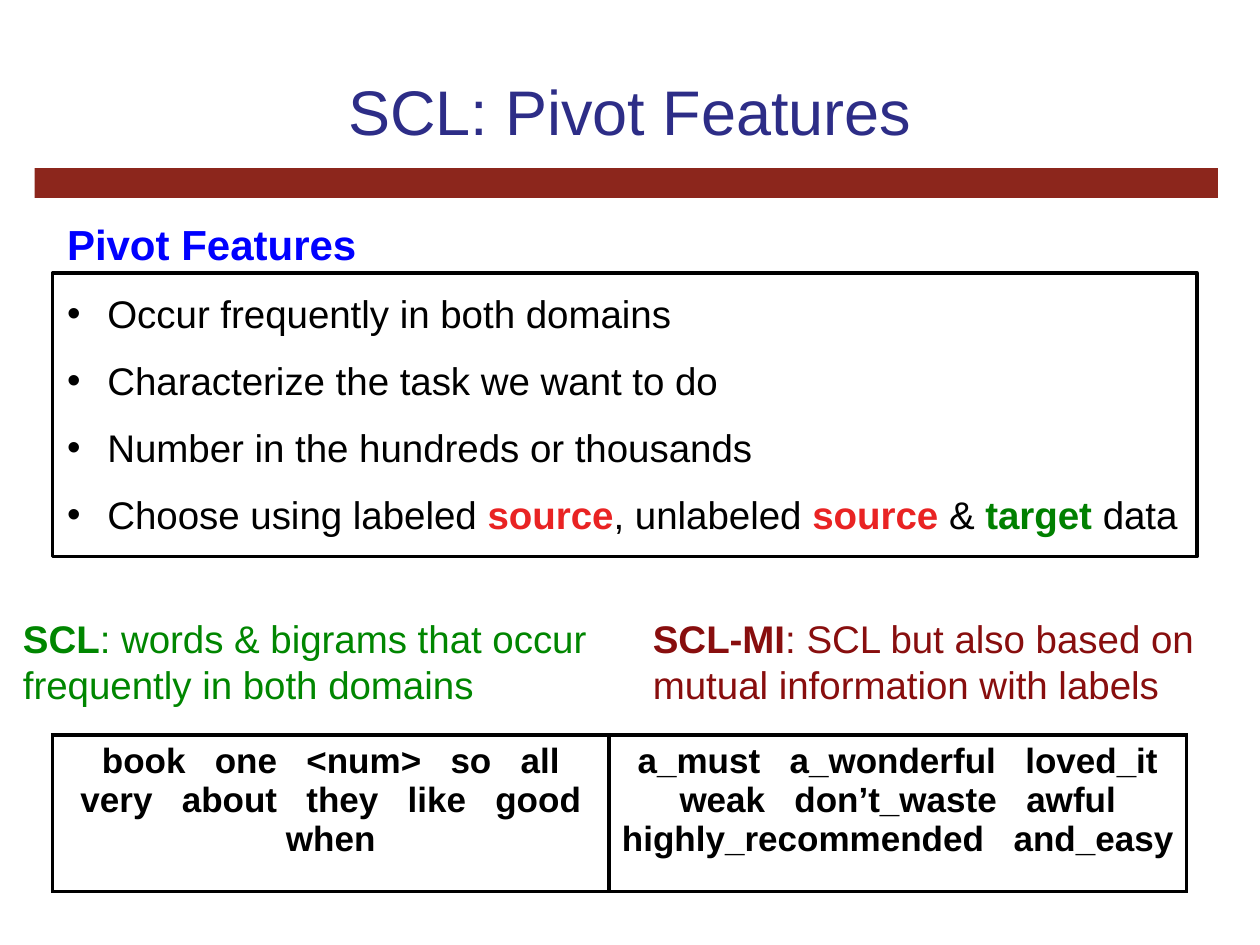
from dataclasses import dataclass

from lxml.etree import SubElement as Sub
from pptx import Presentation
from pptx.dml.color import RGBColor as RGB
from pptx.enum.shapes import MSO_CONNECTOR as Line, MSO_SHAPE as Form
from pptx.enum.text import MSO_ANCHOR as Anchor, PP_ALIGN as Align
from pptx.oxml.ns import qn
from pptx.util import Inches, Pt


@dataclass(frozen=True)
class Theme:
    font: str = "Arial"
    ink: str = "000000"
    navy: str = "2D2D87"
    blue: str = "0000FF"
    brick: str = "8C261C"
    red: str = "E92323"
    green: str = "008000"
    leaf: str = "008600"
    wine: str = "880E0E"
    title: int = 36
    head: int = 24
    body: int = 22
    small: int = 20
    gap: int = 12      # space before a paragraph
    hang: float = 0.32  # bullet indent, inches
    word: int = 1110   # extra space between listed words, 1/100 pt


class Deck:
    """Holds the theme and the slide; lengths are cells of a 120 x 90 grid."""

    def __init__(self, theme):
        self.theme = theme
        self.prs = Presentation()
        self.prs.slide_width, self.prs.slide_height = Inches(10), Inches(7.5)
        self.slide = self.prs.slides.add_slide(self.prs.slide_layouts[6])
        self.shapes = self.slide.shapes

    def cells(self, *nums):
        return [round(self.prs.slide_width * n / 120) for n in nums]

    def run(self, para, text, color, size, bold=False):
        run = para.add_run()
        run.text = text
        look = {"name": self.theme.font, "size": Pt(size), "bold": bold}
        for key, val in look.items():
            setattr(run.font, key, val)
        run.font.color.rgb = RGB.from_string(color)
        return run

    def rect(self, at, fill=None, line=None):
        box = self.shapes.add_shape(Form.RECTANGLE, *self.cells(*at))
        box.shadow.inherit = False
        if fill:
            box.fill.solid()
            box.fill.fore_color.rgb = RGB.from_string(fill)
        else:
            box.fill.background()
        if line:
            box.line.color.rgb = RGB.from_string(line)
            box.line.width = Pt(2)
        else:
            box.line.fill.background()

    def text(self, at, paras, anchor=Anchor.TOP, align=Align.LEFT):
        """Each paragraph is (has bullet, size, [(text, color, bold), ...])."""
        frame = self.shapes.add_textbox(*self.cells(*at)).text_frame
        frame.word_wrap, frame.vertical_anchor = True, anchor
        for i, (dot, size, runs) in enumerate(paras):
            para = frame.add_paragraph() if i else frame.paragraphs[0]
            para.alignment = align
            if i:
                para.space_before = Pt(self.theme.gap)
            if dot:
                self.bullet(para)
            for words, color, bold in runs:
                self.run(para, words, color, size, bold)

    def bullet(self, para):
        props = para._p.get_or_add_pPr()
        hang = Inches(self.theme.hang)
        props.set("marL", str(hang))
        props.set("indent", str(-hang))
        Sub(props, qn("a:buFont")).set("typeface", self.theme.font)
        Sub(props, qn("a:buChar")).set("char", "•")

    def table(self, at, cols, lists):
        grid = self.shapes.add_table(1, len(cols), *self.cells(*at)).table
        for col, width in zip(grid.columns, self.cells(*cols)):
            col.width = width
        last = len(cols) - 1
        for i, groups in enumerate(lists):
            cell = grid.cell(0, i)
            cell.margin_left = cell.margin_right = Inches(0.09)
            self.words(cell.text_frame.paragraphs[0], groups)
            self.border(cell, {"L": 1 if i else 2.25, "R": 1 if i < last else 2.25,
                               "T": 2.25, "B": 2.25})
            cell.fill.background()

    def words(self, para, groups):
        """Words stand wide apart inside a group, normally between groups."""
        para.alignment = Align.CENTER
        look = (self.theme.ink, self.theme.small, True)
        for g, group in enumerate(groups):
            for w, word in enumerate(group.split()):
                if g or w:
                    space = self.run(para, " ", *look)
                    if w:
                        space.font._element.set("spc", str(self.theme.word))
                self.run(para, word, *look)

    def border(self, cell, widths):
        props = cell._tc.get_or_add_tcPr()
        for side, width in widths.items():
            line = Sub(props, qn(f"a:ln{side}"), w=str(Pt(width)))
            fill = Sub(line, qn("a:solidFill"))
            Sub(fill, qn("a:srgbClr"), val=self.theme.ink)

    def rule(self, *ends):
        line = self.shapes.add_connector(Line.STRAIGHT, *self.cells(*ends))
        line.line.color.rgb = RGB.from_string(self.theme.ink)
        line.line.width = Pt(2)
        Sub(line._element.spPr, qn("a:effectLst"))


def main():
    look = Theme()
    deck = Deck(look)

    # Title and bar
    deck.rect((3.3, 16, 112.7, 2.85), fill=look.brick)
    deck.text((6, 3, 108, 15),
              [(False, look.title, [("SCL: Pivot Features", look.navy, False)])],
              Anchor.MIDDLE, Align.CENTER)

    # Framed list of pivot features
    plain = ["Occur frequently in both domains",
             "Characterize the task we want to do",
             "Number in the hundreds or thousands"]
    choose = [("Choose using labeled ", look.ink, False), ("source", look.red, True),
              (", unlabeled ", look.ink, False), ("source", look.red, True),
              (" & ", look.ink, False), ("target ", look.green, True),
              ("data", look.ink, False)]
    items = [[(line, look.ink, False)] for line in plain] + [choose]
    deck.text((5.2, 20.2, 110, 32.4),
              [(False, look.head, [("Pivot Features", look.blue, True)])]
              + [(True, look.body, item) for item in items])
    deck.rect((5, 26, 109, 27), line=look.ink)

    # The two ways to choose
    notes = [(1, 58, look.leaf, "SCL",
              ": words & bigrams that occur frequently in both domains"),
             (61, 55, look.wine, "SCL-MI",
              ": SCL but also based on mutual information with labels")]
    for left, wide, color, name, rest in notes:
        deck.text((left, 58, wide, 10),
                  [(False, look.body, [(name, color, True), (rest, color, False)])])

    # Sample words
    deck.table((5, 70, 108, 14.9), (53, 55), [
        ["book one <num> so all very about they like good when"],
        ["a_must a_wonderful loved_it",
         "weak don’t_waste awful highly_recommended and_easy"]])
    deck.rule(58, 70, 58, 85)

    deck.prs.save("out.pptx")


if __name__ == "__main__":
    main()
